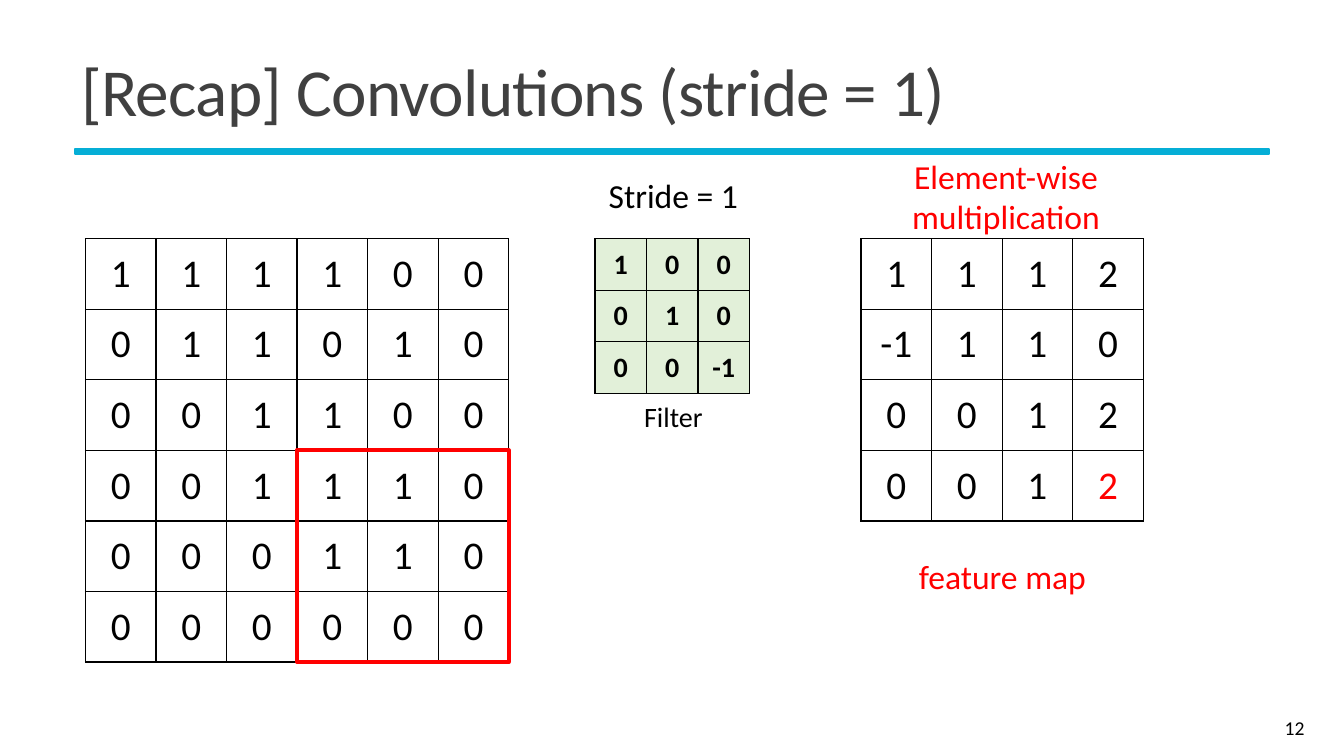
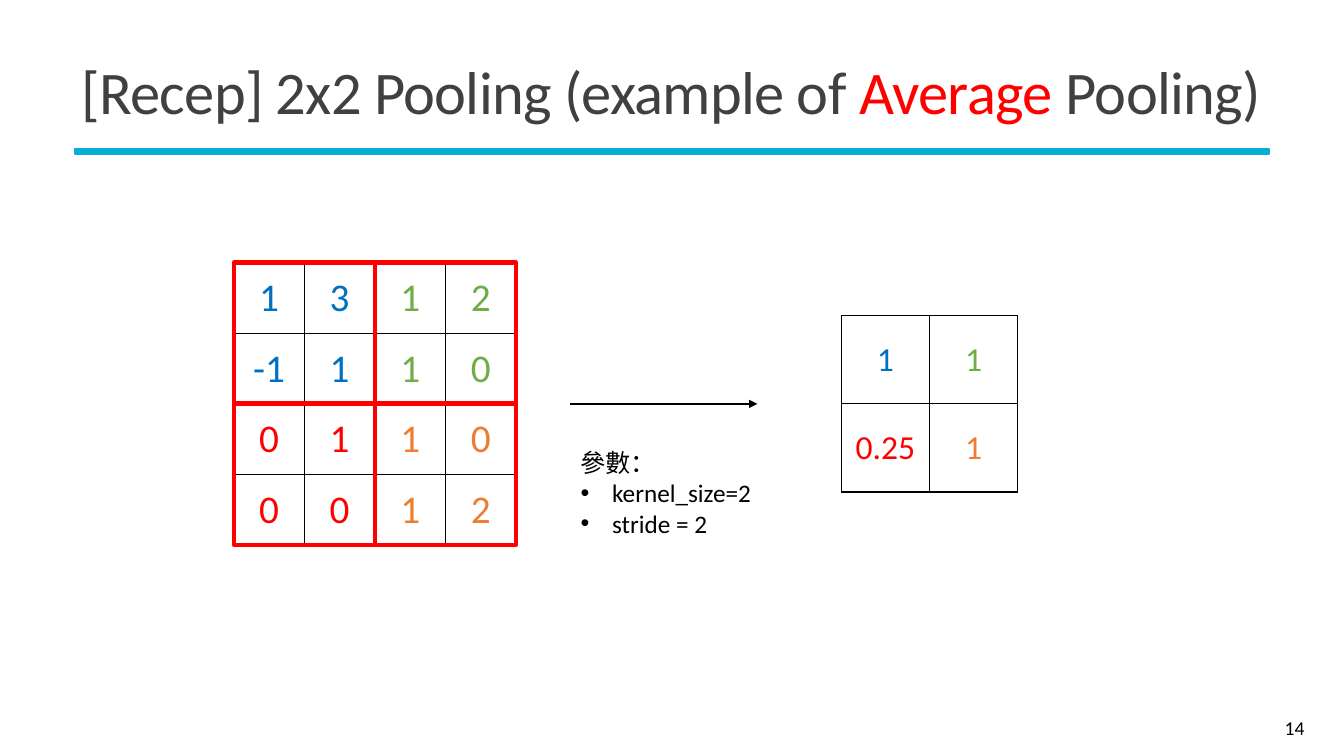
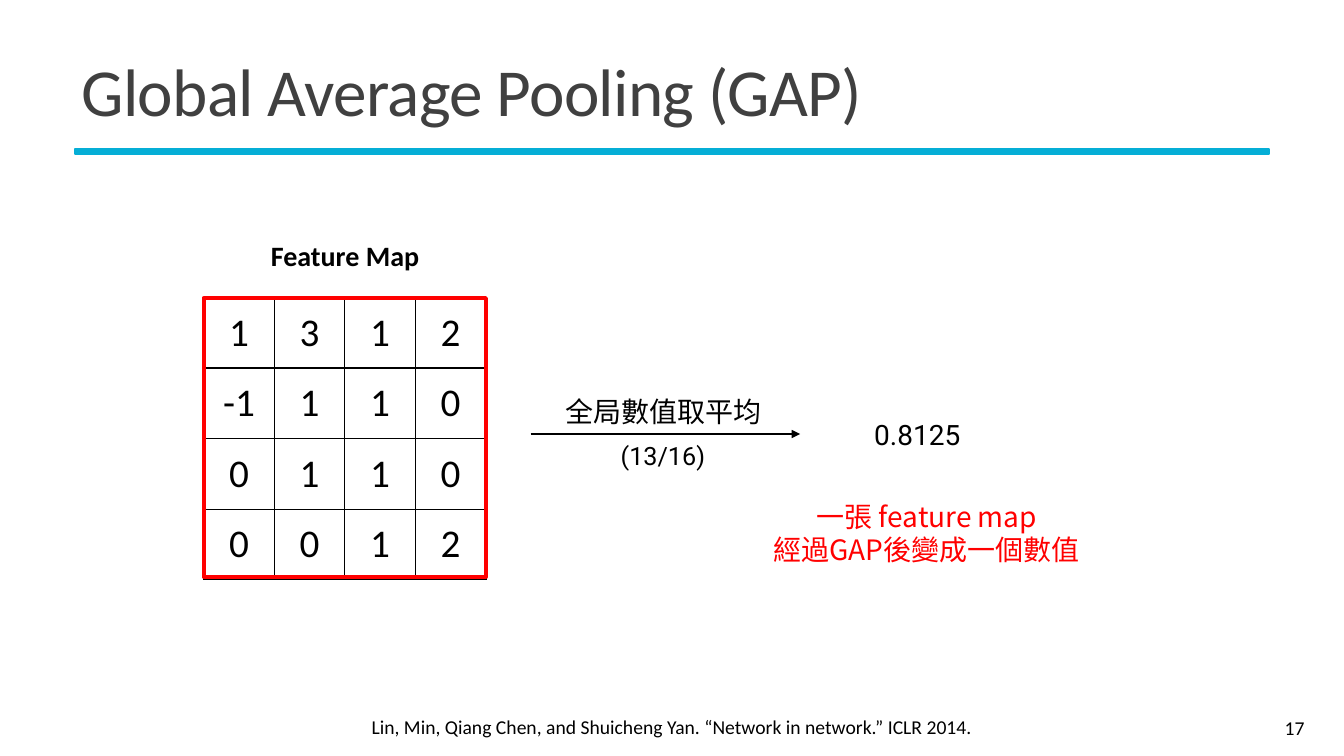
from pptx import Presentation
from pptx.dml.color import RGBColor
from pptx.enum.shapes import MSO_CONNECTOR, MSO_SHAPE
from pptx.enum.text import MSO_ANCHOR, MSO_AUTO_SIZE, PP_ALIGN
from pptx.oxml.ns import qn
from pptx.util import Pt
from lxml.etree import SubElement

COLORS = {
    "band": "05AED6", "title": "404040", "black": "000000", "red": "FF0000",
    "blue": "0070C0", "green": "70AD47", "orange": "ED7D31", "filter": "E2F0D9",
}
LATIN, CHINESE, NUMERIC = "Calibri", "Noto Sans CJK TC", "Roboto"
CELL, FILTER_CELL, RESULT_CELL = 50.4, 36.8, 63


def write(frame, text, size=20, color="black", font=LATIN, bold=False,
          align=PP_ALIGN.CENTER, anchor=MSO_ANCHOR.TOP, line_spacing=1,
          tracking=None, highlight=None):
    """Fill a text frame, one paragraph per line; highlight is a red word."""
    frame.word_wrap = True
    frame.auto_size = MSO_AUTO_SIZE.NONE
    frame.vertical_anchor = anchor
    for index, line in enumerate(text.split("\n")):
        paragraph = frame.add_paragraph() if index else frame.paragraphs[0]
        paragraph.alignment = align
        paragraph.line_spacing = line_spacing
        paragraph.space_before = Pt(0)
        for part in line.partition(highlight) if highlight else [line]:
            if not part:
                continue
            run = paragraph.add_run()
            run.text = part
            run.font.size = Pt(size)
            run.font.bold = bold
            run.font.color.rgb = RGBColor.from_string(
                COLORS["red" if part == highlight else color])
            run.font.name = font
            properties = run.font._element
            SubElement(properties, qn("a:ea"), typeface=CHINESE)
            if tracking is not None:
                properties.set("spc", str(round(tracking * 100)))


def add_grid(slide, left, top, cell_size, rows, colors=None, fill=None,
             margins=(7.2, 3.6), **text_format):
    """Draw a square-celled table; colors maps (row, column) to a colour."""
    row_count, column_count = len(rows), len(rows[0])
    table = slide.shapes.add_table(
        row_count, column_count, Pt(left), Pt(top),
        Pt(cell_size * column_count), Pt(cell_size * row_count)).table
    table.first_row = table.horz_banding = False
    for column in table.columns:
        column.width = Pt(cell_size)
    for row_index, values in enumerate(rows):
        table.rows[row_index].height = Pt(cell_size)
        for column_index, value in enumerate(values):
            cell = table.cell(row_index, column_index)
            color = (colors or {}).get((row_index, column_index), "black")
            write(cell.text_frame, value, color=color, **text_format)
            cell.vertical_anchor = MSO_ANCHOR.MIDDLE
            cell.margin_left = cell.margin_right = Pt(margins[0])
            cell.margin_top = cell.margin_bottom = Pt(margins[1])
            properties = cell._tc.get_or_add_tcPr()
            for side in ("lnL", "lnR", "lnT", "lnB"):
                border = SubElement(properties, qn(f"a:{side}"), w=str(Pt(1)))
                border_fill = SubElement(border, qn("a:solidFill"))
                SubElement(border_fill, qn("a:srgbClr"), val=COLORS["black"])
            if fill:
                cell.fill.solid()
                cell.fill.fore_color.rgb = RGBColor.from_string(COLORS[fill])
            else:
                cell.fill.background()


presentation = Presentation()
presentation.slide_width, presentation.slide_height = Pt(960), Pt(540)

# Shared parts: title, band and page number
CONTENT_LAYOUT, TITLE_LAYOUT = 1, 5
slides = []
for layout, title_text, title_size, highlight, number in [
    (TITLE_LAYOUT, "[Recap] Convolutions (stride = 1)", 48, None, "12"),
    (CONTENT_LAYOUT, "[Recep] 2x2 Pooling (example of Average Pooling)",
     43.2, "Average", "14"),
    (TITLE_LAYOUT, "Global Average Pooling (GAP)", 48, None, "17"),
]:
    slide = presentation.slides.add_slide(presentation.slide_layouts[layout])
    slides.append(slide)
    band = slide.shapes.add_shape(
        MSO_SHAPE.RECTANGLE, Pt(53.5), Pt(106.5), Pt(853), Pt(3.5))
    band.shadow.inherit = False
    band.fill.solid()
    band.fill.fore_color.rgb = RGBColor.from_string(COLORS["band"])
    band.line.color.rgb = RGBColor.from_string(COLORS["band"])
    band.line.width = Pt(1.25)

    title = slide.shapes.title
    title.left, title.top, title.width, title.height = (
        Pt(51), Pt(28), Pt(860), Pt(81.5))
    write(title.text_frame, title_text, size=title_size, color="title",
          align=PP_ALIGN.LEFT, anchor=MSO_ANCHOR.MIDDLE, line_spacing=0.85,
          tracking=-0.5, highlight=highlight)

    page_number = slide.shapes.add_textbox(
        Pt(836), Pt(505.5), Pt(103), Pt(29))
    write(page_number.text_frame, number, size=14, align=PP_ALIGN.RIGHT,
          anchor=MSO_ANCHOR.MIDDLE)
convolution, pooling, global_pooling = slides

# Convolution: input, filter and feature map
add_grid(convolution, 61, 170.5, CELL,
         ["111100", "011010", "001100", "001110", "000110", "000000"], size=28)
add_grid(convolution, 425, 170.5, FILTER_CELL,
         ["100", "010", ["0", "0", "-1"]], fill="filter", margins=(5, 2.5),
         size=20, bold=True)
add_grid(convolution, 615, 170.5, CELL,
         ["1112", ["-1", "1", "1", "0"], "0012", "0012"],
         colors={(3, 3): "red"}, size=28)

# Pooling: one colour per quadrant, then one value per quadrant
quadrants = {(0, 0): "blue", (0, 1): "green", (1, 0): "red", (1, 1): "orange"}
pooling_input = ["1312", ["-1", "1", "1", "0"], "0110", "0012"]
add_grid(pooling, 167, 188, CELL, pooling_input, size=28,
         colors={(row, column): quadrants[row // 2, column // 2]
                 for row in range(4) for column in range(4)})
add_grid(pooling, 601, 225.5, RESULT_CELL, ["11", ["0.25", "1"]],
         colors=quadrants, margins=(8.6, 4.3), size=24)

# Pooling: parameter list
parameters = pooling.placeholders[1]
parameters.left, parameters.top, parameters.width, parameters.height = (
    Pt(407.5), Pt(316), Pt(217), Pt(73))
write(parameters.text_frame, "參數：\nkernel_size=2\nstride = 2", size=18,
      align=PP_ALIGN.LEFT)
heading, *items = parameters.text_frame.paragraphs
heading.runs[0].font.name = CHINESE
for paragraph in (heading, *items):
    indent = 0 if paragraph is heading else Pt(22.5)
    properties = paragraph._p.get_or_add_pPr()
    properties.set("marL", str(indent))
    properties.set("indent", str(-indent))
    if paragraph is heading:
        SubElement(properties, qn("a:buNone"))
    else:
        SubElement(properties, qn("a:buFont"), typeface="Arial")
        SubElement(properties, qn("a:buChar"), char="•")

# Global pooling: feature map
add_grid(global_pooling, 145.5, 212.5, CELL, pooling_input, size=28)

# Labels
for slide, text, left, top, width, height, text_format in [
    (convolution, "Stride = 1", 426, 121.5, 110, 36, {"size": 24}),
    (convolution, "Filter", 426, 282, 110, 31.5, {}),
    (convolution, "feature map", 632, 381, 168, 46,
     {"size": 24, "color": "red", "line_spacing": 1.5,
      "anchor": MSO_ANCHOR.MIDDLE}),
    (convolution, "Element-wise multiplication", 632, 107.5, 173, 65.5,
     {"size": 24, "color": "red"}),
    (global_pooling, "Feature Map", 172, 167, 149, 31.5, {"bold": True}),
    (global_pooling, "0.8125", 613.5, 294.5, 83.5, 31.5, {"font": NUMERIC}),
    (global_pooling, "全局數值取平均", 388, 278.5, 171.5, 31.5,
     {"font": CHINESE}),
    (global_pooling, "(13/16)", 430, 311, 87, 29,
     {"size": 18, "font": NUMERIC}),
    (global_pooling, "一張 feature map\n經過GAP後變成一個數值",
     530, 353, 264, 55.5, {"color": "red", "font": CHINESE}),
    (global_pooling,
     "Lin, Min, Qiang Chen, and Shuicheng Yan. “Network in network.” ICLR 2014.",
     215, 507, 530, 24.5, {"size": 14}),
]:
    label = slide.shapes.add_textbox(Pt(left), Pt(top), Pt(width), Pt(height))
    write(label.text_frame, text, **text_format)

# Arrows
for slide, start, end, middle in [
    (pooling, 407.5, 541, 288.5),
    (global_pooling, 379, 571.5, 310),
]:
    arrow = slide.shapes.add_connector(
        MSO_CONNECTOR.STRAIGHT, Pt(start), Pt(middle), Pt(end), Pt(middle))
    arrow.line.color.rgb = RGBColor.from_string(COLORS["black"])
    arrow.line.width = Pt(1.5)
    SubElement(arrow.line._get_or_add_ln(), qn("a:tailEnd"), type="triangle")
    SubElement(arrow._element.spPr, qn("a:effectLst"))

# Red windows over the grids
windows = [(convolution, 61 + 3 * CELL, 170.5 + 3 * CELL, 3 * CELL, 3 * CELL),
           (global_pooling, 145.5, 213, 4 * CELL, 199)]
windows += [(pooling, 167 + 2 * CELL * column, 187.5 + 2 * CELL * row,
             2 * CELL, 2 * CELL) for row, column in quadrants]
for slide, left, top, width, height in windows:
    window = slide.shapes.add_shape(
        MSO_SHAPE.RECTANGLE, Pt(left), Pt(top), Pt(width), Pt(height))
    window.shadow.inherit = False
    window.fill.background()
    window.line.color.rgb = RGBColor.from_string(COLORS["red"])
    window.line.width = Pt(3)

presentation.save("out.pptx")
